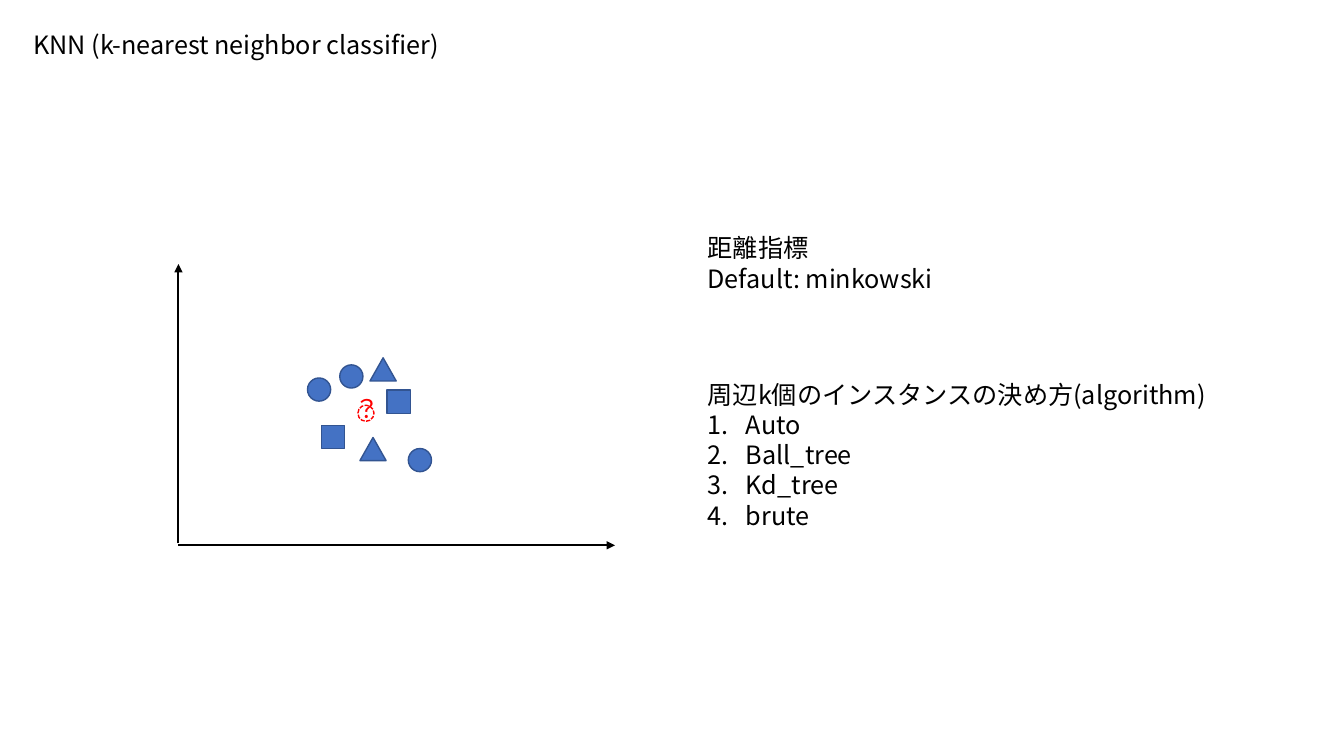
from lxml import etree
from pptx import Presentation
from pptx.dml.color import RGBColor
from pptx.enum.dml import MSO_LINE
from pptx.enum.shapes import MSO_CONNECTOR, MSO_SHAPE
from pptx.enum.text import MSO_ANCHOR, PP_ALIGN
from pptx.oxml.ns import qn
from pptx.util import Inches, Pt

CIRCLE, SQUARE, TRIANGLE = MSO_SHAPE.OVAL, MSO_SHAPE.RECTANGLE, MSO_SHAPE.ISOSCELES_TRIANGLE
STRAIGHT = MSO_CONNECTOR.STRAIGHT
DASH = MSO_LINE.SQUARE_DOT
TOP, LEFT = MSO_ANCHOR.TOP, PP_ALIGN.LEFT

FONT = "Noto Sans CJK JP"
COLORS = {"text": "000000", "marker": "4472C4", "outline": "325491", "query": "FF0000"}
MARKER_SIZE = 0.23
TRIANGLE_WIDTH = 0.26
QUERY_SIZE = 0.16
INDENT = 0.38

# Marker offsets from the top left corner of the plot
MARKERS = [
    (CIRCLE, 1.28, 1.13), (CIRCLE, 2.28, 1.83), (CIRCLE, 1.6, 1.0),
    (SQUARE, 2.07, 1.25), (SQUARE, 1.42, 1.6),
    (TRIANGLE, 1.8, 1.72), (TRIANGLE, 1.9, 0.93),
]


def color(name):
    return RGBColor.from_string(COLORS[name])


def write_lines(shape, lines, color_name="text", wrap=False):
    """Fill a text shape with one formatted paragraph per line."""
    frame = shape.text_frame
    frame.text = "\n".join(lines)
    frame.word_wrap = wrap
    frame.vertical_anchor = TOP
    frame.margin_left = frame.margin_right = Inches(0.1)
    frame.margin_top = frame.margin_bottom = Inches(0.05)
    for paragraph in frame.paragraphs:
        paragraph.alignment = LEFT
        paragraph.line_spacing = 1.0
        paragraph.space_before = Pt(0)
        paragraph.font.size = Pt(18)
        paragraph.font.name = FONT
        paragraph.font.color.rgb = color(color_name)
        for run in paragraph.runs:
            properties = run._r.get_or_add_rPr()
            etree.SubElement(properties, qn("a:ea"), typeface=FONT)
    return frame


def number_paragraph(paragraph):
    properties = paragraph._p.get_or_add_pPr()
    properties.set("marL", str(Inches(INDENT)))
    properties.set("indent", str(-Inches(INDENT)))
    numbering = etree.Element(qn("a:buAutoNum"), type="arabicPeriod")
    properties.find(qn("a:defRPr")).addprevious(numbering)


def add_title(slide, left, top, width, height):
    title = slide.shapes.title
    title.left, title.top = Inches(left), Inches(top)
    title.width, title.height = Inches(width), Inches(height)
    write_lines(title, ["KNN (k-nearest neighbor classifier)"])


def add_axis(group, start, end):
    axis = group.shapes.add_connector(STRAIGHT, *map(Inches, start + end))
    axis.line.color.rgb = color("text")
    axis.line.width = Pt(1.5)
    etree.SubElement(axis.line._get_or_add_ln(), qn("a:tailEnd"), type="triangle")
    etree.SubElement(axis._element.spPr, qn("a:effectLst"))


def add_marker(group, kind, left, top, width, height, line_name):
    marker = group.shapes.add_shape(kind, *map(Inches, (left, top, width, height)))
    marker.shadow.inherit = False
    marker.line.color.rgb = color(line_name)
    marker.line.width = Pt(1)
    return marker


def add_plot(slide, left, top, width, height):
    group = slide.shapes.add_group_shape()
    bottom = top + height

    # Axes
    add_axis(group, (left, bottom - 0.02), (left, top))
    add_axis(group, (left, bottom), (left + width, bottom))

    # Known instances
    for kind, x, y in MARKERS:
        marker_width = TRIANGLE_WIDTH if kind == TRIANGLE else MARKER_SIZE
        marker = add_marker(group, kind, left + x, top + y, marker_width, MARKER_SIZE, "outline")
        marker.fill.solid()
        marker.fill.fore_color.rgb = color("marker")

    # Instance to classify
    query = add_marker(group, CIRCLE, left + 1.78, top + 1.4, QUERY_SIZE, QUERY_SIZE, "query")
    query.fill.background()
    query.line.dash_style = DASH
    label = group.shapes.add_textbox(*map(Inches, (left + 1.65, top + 1.23, 0.45, 0.4)))
    write_lines(label, ["？"], "query")


def add_notes_column(slide, left, top, width):
    # Distance metric
    metric = slide.shapes.add_textbox(*map(Inches, (left, top, 2.44, 0.71)))
    write_lines(metric, ["距離指標", "Default: minkowski"])

    # Neighbor search algorithms
    search = slide.shapes.add_textbox(*map(Inches, (left, top + 1.45, width, 1.92)))
    lines = ["周辺k個のインスタンスの決め方(algorithm)", "Auto", "Ball_tree", "Kd_tree", "brute"]
    frame = write_lines(search, lines, wrap=True)
    for paragraph in frame.paragraphs[1:]:
        number_paragraph(paragraph)


def main():
    presentation = Presentation()
    presentation.slide_width, presentation.slide_height = Inches(13.33), Inches(7.5)
    slide = presentation.slides.add_slide(presentation.slide_layouts[5])
    add_title(slide, 0.23, 0.24, 4.35, 0.4)
    add_plot(slide, 1.77, 2.62, 4.33, 2.79)
    add_notes_column(slide, 6.92, 2.26, 5.16)
    presentation.save("out.pptx")


if __name__ == "__main__":
    main()
